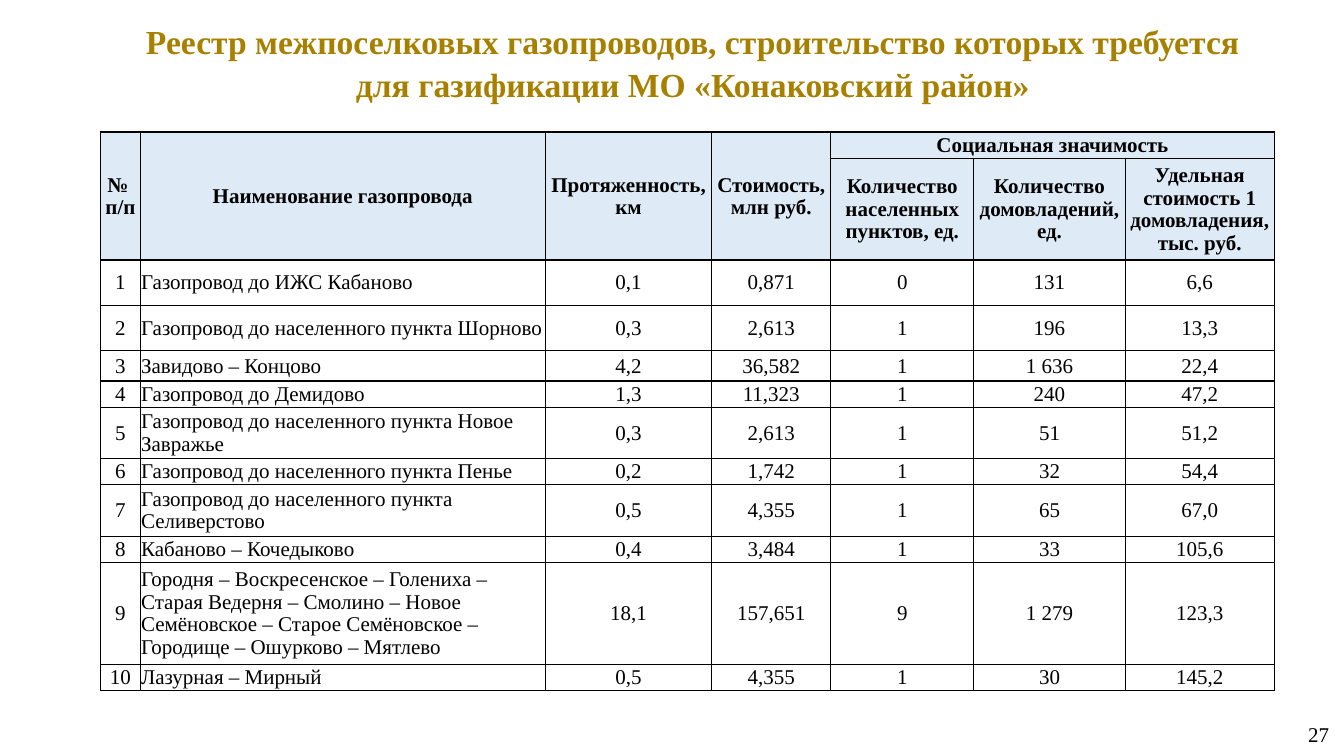
import pptx
import pptx.util
import pptx.dml.color
import pptx.enum.text
import pptx.oxml.ns
import lxml.etree
from dataclasses import dataclass

Inches = pptx.util.Inches
Align = pptx.enum.text.PP_ALIGN
Anchor = pptx.enum.text.MSO_ANCHOR
Fit = pptx.enum.text.MSO_AUTO_SIZE


@dataclass(frozen=True)
class Theme:
    face: str = "Times New Roman"
    gold: str = "A88000"
    ink: str = "000000"
    pale: str = "DEEBF7"
    head: float = 24
    body: float = 15
    rule: float = 1


def apply(item, form):
    for name, value in form.items():
        setattr(item, name, value)


def rgb(code):
    return pptx.dml.color.RGBColor.from_string(code)


class Deck:
    def __init__(self, theme):
        self.theme = theme
        self.prs = pptx.Presentation()
        apply(self.prs, {"slide_width": Inches(13.33), "slide_height": Inches(7.5)})
        self.slide = self.prs.slides.add_slide(self.prs.slide_layouts[5])

    def label(self, frame, text, size, color, align, bold=False, space=1.0):
        frame.text = text
        for para in frame.paragraphs:
            apply(para, {"alignment": align, "line_spacing": space})
            apply(para.font, {"name": self.theme.face, "size": pptx.util.Pt(size),
                              "bold": bold})
            para.font.color.rgb = rgb(color)

    def title(self, text, left, top, width, height):
        shape = self.slide.shapes.title
        apply(shape, {"left": Inches(left), "top": Inches(top),
                      "width": Inches(width), "height": Inches(height)})
        frame = shape.text_frame
        self.label(frame, text, self.theme.head, self.theme.gold, Align.CENTER, True, 1.07)
        apply(frame, {"word_wrap": True, "vertical_anchor": Anchor.TOP,
                      "auto_size": Fit.SHAPE_TO_FIT_TEXT})

    def number(self, text, left, top, width, height):
        box = self.slide.shapes.add_textbox(*map(Inches, (left, top, width, height)))
        frame = box.text_frame
        apply(frame, {"word_wrap": True, "vertical_anchor": Anchor.MIDDLE})
        self.label(frame, text, self.theme.body, self.theme.ink, Align.RIGHT)

    def border(self, cell):
        props = cell._tc.get_or_add_tcPr()
        qn = pptx.oxml.ns.qn
        for side in ("lnL", "lnR", "lnT", "lnB"):
            line = lxml.etree.SubElement(props, qn("a:" + side),
                                         w=str(pptx.util.Pt(self.theme.rule)))
            fill = lxml.etree.SubElement(line, qn("a:solidFill"))
            lxml.etree.SubElement(fill, qn("a:srgbClr"), val=self.theme.ink)

    def cell(self, cell, text, head, align):
        apply(cell, {"margin_left": Inches(0.01), "margin_right": Inches(0.01),
                     "margin_top": Inches(0.01), "margin_bottom": 0,
                     "vertical_anchor": Anchor.MIDDLE})
        self.label(cell.text_frame, text, self.theme.body, self.theme.ink, align, head, 0.97)
        self.border(cell)
        if head:
            cell.fill.solid()
            cell.fill.fore_color.rgb = rgb(self.theme.pale)
        else:
            cell.fill.background()

    def table(self, data, left, top, cols, rows, heads, spans):
        size = (left, top, sum(cols), sum(rows))
        grid = self.slide.shapes.add_table(len(rows), len(cols), *map(Inches, size)).table
        apply(grid, {"first_row": False, "horz_banding": False})
        for col, width in zip(grid.columns, cols):
            col.width = Inches(width)
        for row, height in zip(grid.rows, rows):
            row.height = Inches(height)
        for r, line in enumerate(data):
            for c, text in enumerate(line):
                align = Align.LEFT if c == 1 and r >= heads else Align.CENTER
                self.cell(grid.cell(r, c), text, r < heads, align)
        for start, end in spans:
            grid.cell(*start).merge(grid.cell(*end))


# Table content
HEADS = [
    ("№ \vп/п", "Наименование газопровода", "Протяженность, км",
     "Стоимость, млн руб.", "Социальная значимость", "", ""),
    ("", "", "", "", "Количество населенных пунктов, ед.",
     "Количество\nдомовладений, ед.", "Удельная стоимость 1 домовладения, тыс. руб."),
]
PIPES = [
    ("Газопровод до ИЖС Кабаново", "0,1", "0,871", "0", "131", "6,6"),
    ("Газопровод до населенного пункта Шорново", "0,3", "2,613", "1", "196", "13,3"),
    ("Завидово – Концово", "4,2", "36,582", "1", "1 636", "22,4"),
    ("Газопровод до Демидово", "1,3", "11,323", "1", "240", "47,2"),
    ("Газопровод до населенного пункта Новое Завражье", "0,3", "2,613", "1", "51", "51,2"),
    ("Газопровод до населенного пункта Пенье", "0,2", "1,742", "1", "32", "54,4"),
    ("Газопровод до населенного пункта Селиверстово", "0,5", "4,355", "1", "65", "67,0"),
    ("Кабаново – Кочедыково", "0,4", "3,484", "1", "33", "105,6"),
    ("Городня – Воскресенское – Голениха – Старая Ведерня – Смолино – Новое "
     "Семёновское – Старое Семёновское –Городище – Ошурково – Мятлево",
     "18,1", "157,651", "9", "1 279", "123,3"),
    ("Лазурная – Мирный", "0,5", "4,355", "1", "30", "145,2"),
]
COLS = [0.39, 4.02, 1.65, 1.18, 1.42, 1.5, 1.48]
ROWS = [0.26, 1.01, 0.45, 0.45, 0.3, 0.26, 0.51, 0.26, 0.51, 0.26, 1.01, 0.26]


def main():
    deck = Deck(Theme())

    # Heading
    deck.title("Реестр межпоселковых газопроводов, строительство которых требуется\n"
               "для газификации МО «Конаковский район»", 0.99, 0.13, 11.76, 0.91)

    # Pipeline register: four tall heads and one wide head
    body = [(str(n), *pipe) for n, pipe in enumerate(PIPES, 1)]
    spans = [((0, c), (1, c)) for c in range(4)] + [((0, 4), (0, 6))]
    deck.table(HEADS + body, 1, 1.31, COLS, ROWS, len(HEADS), spans)

    # Page number
    deck.number("27", 10.57, 6.98, 2.71, 0.61)

    deck.prs.save("out.pptx")


if __name__ == "__main__":
    main()
